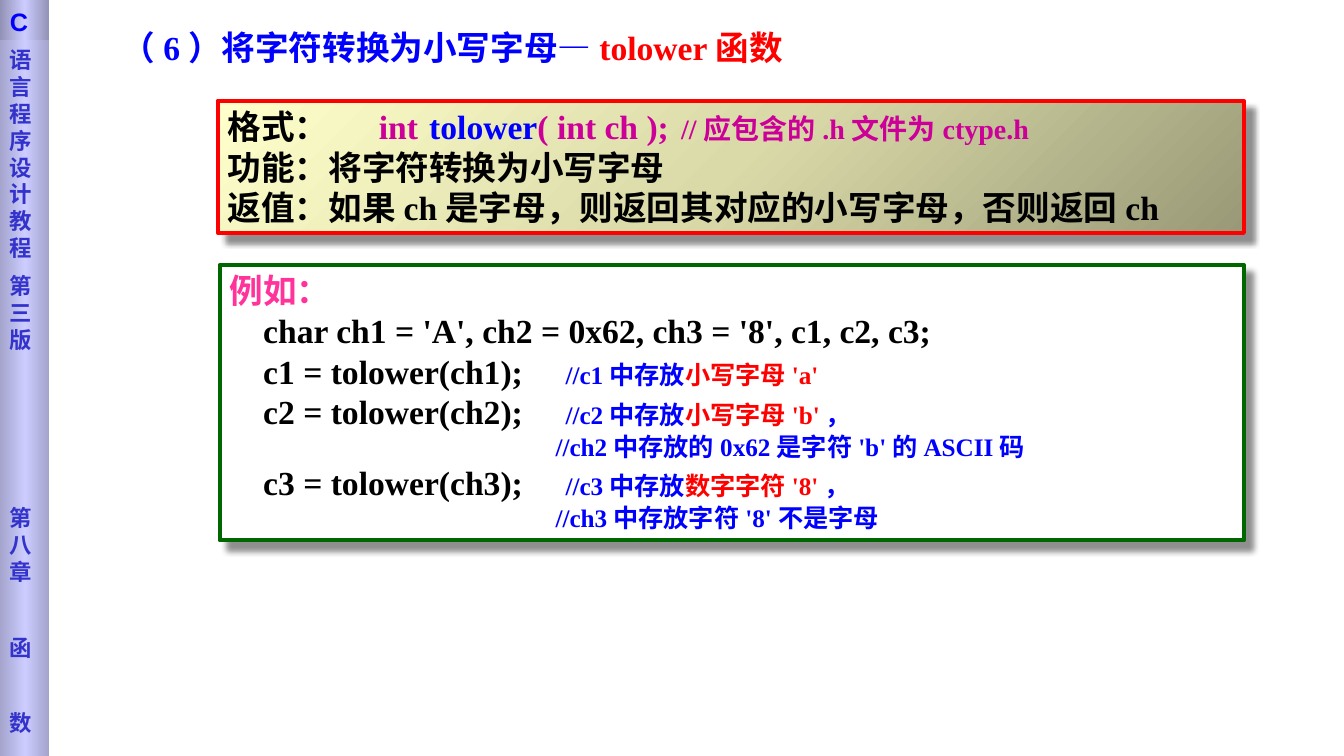
from dataclasses import dataclass
from lxml.etree import SubElement
from pptx import Presentation
from pptx.dml.color import RGBColor as Rgb
from pptx.enum.shapes import MSO_SHAPE as Preset
from pptx.enum.text import MSO_ANCHOR as Anchor
from pptx.oxml.ns import qn
from pptx.util import Inches, Pt

COLUMNS, ROWS = 160, 90
CELL = Inches(7.5) / ROWS


@dataclass(frozen=True)
class Theme:
    serif: str = "Times New Roman"
    sans: str = "Arial"
    side_font: str = "DejaVu Sans"
    body: int = 24
    remark: int = 20
    comment: int = 18
    side: int = 16
    border: int = 3
    black: str = "000000"
    white: str = "FFFFFF"
    blue: str = "0000FF"
    red: str = "FF0000"
    magenta: str = "CC0099"
    pink: str = "FF3399"
    green: str = "006600"
    indigo: str = "3333CC"
    side_fade: tuple = ("A4A4CD", "CCCCFF", "A4A4CD")
    cap_fade: tuple = ("9292B6", "CCCCFF", "9292B6")
    format_fade: tuple = ("999977", "DADAA9", "FFFFCC")


THEME = Theme()


@dataclass(frozen=True)
class Box:
    left: float
    top: float
    width: float
    height: float

    def emu(self):
        return [cells(n) for n in (self.left, self.top, self.width, self.height)]


def cells(count):
    return round(count * CELL)


def fade(shape, colours, angle):
    shape.fill.gradient()
    shape.fill.gradient_angle = angle
    stops = shape.fill._fill._gradFill.find(qn("a:gsLst"))
    for stop in list(stops):
        stops.remove(stop)
    for step, colour in enumerate(colours):
        stop = SubElement(stops, qn("a:gs"), pos=str(step * 50000))
        SubElement(stop, qn("a:srgbClr"), val=colour)


def add_panel(slide, box, border=None):
    panel = slide.shapes.add_shape(Preset.RECTANGLE, *box.emu())
    panel.shadow.inherit = False
    if border is None:
        panel.line.fill.background()
        return panel
    panel.line.color.rgb = Rgb.from_string(border)
    panel.line.width = Pt(THEME.border)
    effects = panel._element.spPr.find(qn("a:effectLst"))
    shadow = SubElement(effects, qn("a:outerShdw"), blurRad=str(Pt(4)), dist=str(Pt(8.4)),
                        dir=str(45 * 60000), algn="ctr", rotWithShape="0")
    colour = SubElement(shadow, qn("a:srgbClr"), val=THEME.black)
    SubElement(colour, qn("a:alpha"), val="43000")
    return panel


def write(shape, paragraphs, font=THEME.serif, anchor=Anchor.TOP, inset=(1.2, 0.6)):
    frame = shape.text_frame
    frame.word_wrap = True
    frame.vertical_anchor = anchor
    frame.margin_left = frame.margin_right = cells(inset[0])
    frame.margin_top = cells(inset[1])
    frame.margin_bottom = cells(0.6)
    for number, (layout, runs) in enumerate(paragraphs):
        paragraph = frame.add_paragraph() if number else frame.paragraphs[0]
        properties = paragraph._p.get_or_add_pPr()
        properties.set("algn", "l")
        properties.set("marL", str(cells(layout.get("margin", 0))))
        properties.set("indent", str(cells(layout.get("indent", 0))))
        if "before" in layout:
            paragraph.space_before = Pt(layout["before"])
        if "tabs" in layout:
            tabs = SubElement(properties, qn("a:tabLst"))
            for stop in layout["tabs"]:
                SubElement(tabs, qn("a:tab"), pos=str(cells(stop)), algn="l")
        for text, size, colour in runs:
            run = paragraph.add_run()
            run.text = text
            run.font.name = font
            run.font.size = Pt(size)
            run.font.bold = True
            run.font.color.rgb = Rgb.from_string(colour)


def add_sidebar(slide, box):
    strip = add_panel(slide, box)
    fade(strip, THEME.side_fade, 0)
    labels = (("语言程序设计教程", 0), ("第三版", 8), ("第八章", 108), ("函", 35), ("数", 35))
    write(strip, [({"before": gap} if gap else {}, [(label, THEME.side, THEME.indigo)])
                  for label, gap in labels], THEME.side_font, inset=(1.2, 5.5))
    cap = add_panel(slide, Box(box.left, box.top, box.width, 4.8))
    fade(cap, THEME.cap_fade, 0)
    write(cap, [({}, [("C", THEME.comment, THEME.blue)])], THEME.sans, inset=(1.2, 0.8))


def add_title(slide, box):
    title = slide.shapes.add_textbox(*box.emu())
    write(title, [({}, [("（6）将字符转换为小写字母—", THEME.body, THEME.blue),
                        ("tolower函数", THEME.body, THEME.red)])])


def add_format(slide, box):
    panel = add_panel(slide, box, THEME.red)
    fade(panel, THEME.format_fade, 135)
    size = THEME.body
    write(panel, [
        ({"tabs": (13.8, 20.5, 57)}, [
            ("格式：\t", size, THEME.black),
            ("int\t", size, THEME.magenta),
            ("tolower", size, THEME.blue),
            ("( int ch );\t", size, THEME.magenta),
            ("//应包含的.h文件为ctype.h", THEME.remark, THEME.magenta)]),
        ({}, [("功能：将字符转换为小写字母", size, THEME.black)]),
        ({"margin": 13, "indent": -13},
         [("返值：如果ch是字母，则返回其对应的小写字母，否则返回ch", size, THEME.black)]),
    ], anchor=Anchor.MIDDLE)


def add_example(slide, box):
    panel = add_panel(slide, box, THEME.green)
    panel.fill.solid()
    panel.fill.fore_color.rgb = Rgb.from_string(THEME.white)
    code_column, comment_column = 4, 38.8

    def call(number, result, ending=""):
        runs = [(f"c{number} = tolower(ch{number});\t", THEME.body, THEME.black),
                (f"//c{number}中存放", THEME.comment, THEME.blue),
                (result, THEME.comment, THEME.red)]
        if ending:
            runs.append((ending, THEME.comment, THEME.blue))
        return {"margin": code_column, "tabs": (comment_column,)}, runs

    def remark(text):
        return {"margin": comment_column}, [(text, THEME.comment, THEME.blue)]

    write(panel, [
        ({}, [("例如：", THEME.body, THEME.pink)]),
        ({"margin": code_column},
         [("char ch1 = 'A', ch2 = 0x62, ch3 = '8', c1, c2, c3;", THEME.body, THEME.black)]),
        call(1, "小写字母'a'"),
        call(2, "小写字母'b'", "，"),
        remark("//ch2中存放的0x62是字符'b'的ASCII码"),
        call(3, "数字字符'8'", "，"),
        remark("//ch3中存放字符'8'不是字母"),
    ])


def main():
    deck = Presentation()
    deck.slide_width, deck.slide_height = cells(COLUMNS), cells(ROWS)
    slide = deck.slides.add_slide(deck.slide_layouts[6])
    add_sidebar(slide, Box(0, 0, 5.88, ROWS))
    add_title(slide, Box(13.3, 2.64, 103.8, 6))
    add_format(slide, Box(25.92, 12, 122.16, 15.72))
    add_example(slide, Box(26.16, 31.56, 121.92, 32.76))
    deck.save("out.pptx")


if __name__ == "__main__":
    main()
